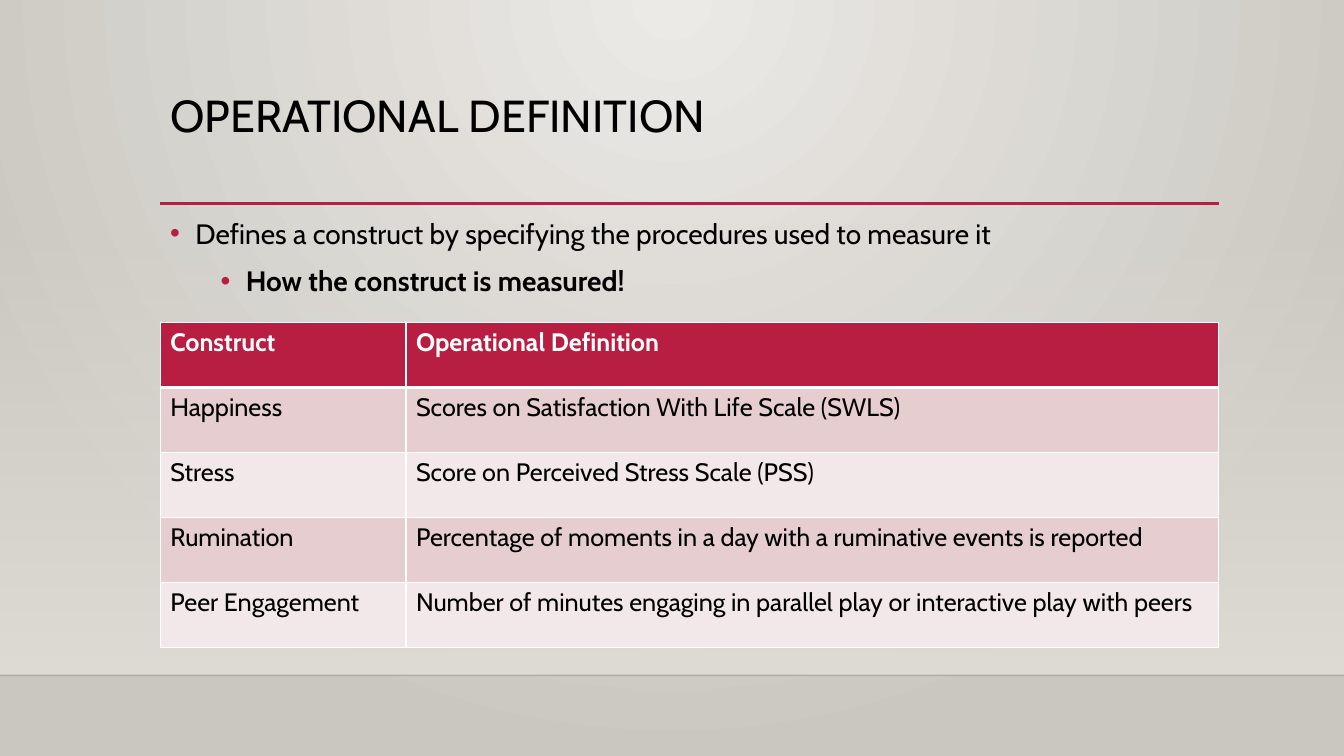
import pptx
import pptx.dml.color
import pptx.enum.shapes
import pptx.enum.text
import pptx.oxml
import pptx.oxml.ns
import pptx.util

Pt = pptx.util.Pt
NAMESPACE = pptx.oxml.ns.nsdecls("a")
FONT = "Cabin"
BLACK, WHITE, RED = "000000", "FFFFFF", "B71E42"
BANDS = ["E6CDCF", "F3E8E9"]
LEFT, WIDTH = 114.5, 756
SLIDE_WIDTH, SLIDE_HEIGHT = 960, 540
FLOOR_TOP = 482.4
COLUMN_WIDTHS = [175.5, 580.5]
ROW_HEIGHT = 46.4
ROWS = [
    ["Construct", "Operational Definition"],
    ["Happiness", "Scores on Satisfaction With Life Scale (SWLS)"],
    ["Stress", "Score on Perceived Stress Scale (PSS)"],
    ["Rumination", "Percentage of moments in a day with a ruminative events is reported"],
    ["Peer Engagement", "Number of minutes engaging in parallel play or interactive play with peers"],
]
BULLETS = [
    ("Defines a construct by specifying the procedures used to measure it", 18, 10, False),
    ("How the construct is measured!", 54, 5, True),
]


def rgb(value):
    return pptx.dml.color.RGBColor.from_string(value)


def xml(text):
    return pptx.oxml.parse_xml(text)


def apply_format(target, values):
    for name, value in values.items():
        setattr(target, name, value)


def set_opacity(color_element, percent):
    color_element.append(xml(f'<a:alpha {NAMESPACE} val="{percent * 1000}"/>'))


def set_gradient(fill, colors):
    fill.gradient()
    for stop, color in zip(fill.gradient_stops, colors):
        stop.color.rgb = rgb(color)


def write_text(paragraph, text, size, color=BLACK, bold=False):
    run = paragraph.add_run()
    run.text = text
    apply_format(run.font, {"name": FONT, "size": Pt(size), "bold": bold})
    run.font.color.rgb = rgb(color)


def set_background(slide):
    set_gradient(slide.background.fill, ["ECEAE7", "CAC7C1"])
    gradient = slide.element.xpath(".//p:bg//a:gradFill")[0]
    direction = gradient.xpath("a:lin")[0]
    gradient.replace(direction, xml(
        f'<a:path {NAMESPACE} path="circle">'
        '<a:fillToRect l="43000" t="0" r="43000" b="100000"/></a:path>'))


def add_wall(slide, top, bottom):
    shape = slide.shapes.add_shape(
        pptx.enum.shapes.MSO_SHAPE.RECTANGLE, 0, Pt(top), Pt(SLIDE_WIDTH), Pt(bottom - top))
    shape.shadow.inherit = False
    shape.line.fill.background()
    set_gradient(shape.fill, ["DFDBD5", "DFDBD5"])
    shape.fill.gradient_angle = 270
    set_opacity(shape.element.xpath(".//a:gs/a:srgbClr")[0], 0)


def add_rule(slide, left, right, y, color, width, opacity=100):
    line = slide.shapes.add_connector(
        pptx.enum.shapes.MSO_CONNECTOR.STRAIGHT, Pt(left), Pt(y), Pt(right), Pt(y))
    line.line.color.rgb = rgb(color)
    line.line.width = Pt(width)
    if opacity < 100:
        set_opacity(line.element.xpath(".//a:ln//a:srgbClr")[0], opacity)
    line.element.spPr.append(xml(f"<a:effectLst {NAMESPACE}/>"))


def add_text_frame(slide, top, height):
    frame = slide.shapes.add_textbox(Pt(LEFT), Pt(top), Pt(WIDTH), Pt(height)).text_frame
    apply_format(frame, {
        "word_wrap": True, "vertical_anchor": pptx.enum.text.MSO_ANCHOR.TOP})
    return frame


def add_title(slide, text):
    paragraph = add_text_frame(slide, 63.4, 82.8).paragraphs[0]
    paragraph.line_spacing = 0.9
    write_text(paragraph, text, 32)


def add_bullets(slide, bullets):
    frame = add_text_frame(slide, 146.2, 72)
    for index, (text, indent, space, bold) in enumerate(bullets):
        paragraph = frame.add_paragraph() if index else frame.paragraphs[0]
        apply_format(paragraph, {
            "level": index, "line_spacing": 1.2, "space_before": Pt(space)})
        properties = paragraph._p.get_or_add_pPr()
        properties.set("marL", str(Pt(indent)))
        properties.set("indent", str(Pt(-18)))
        for marker in [
            f'<a:buClr {NAMESPACE}><a:srgbClr val="{RED}"/></a:buClr>',
            f'<a:buFont {NAMESPACE} typeface="Arial"/>',
            f'<a:buChar {NAMESPACE} char="•"/>',
        ]:
            properties.append(xml(marker))
        write_text(paragraph, text, 20, bold=bold)


def set_borders(cell, widths):
    properties = cell._tc.get_or_add_tcPr()
    for side, width in widths.items():
        properties.append(xml(
            f'<a:ln{side} {NAMESPACE} w="{Pt(width)}"><a:solidFill>'
            f'<a:srgbClr val="{WHITE}"/></a:solidFill></a:ln{side}>'))


def add_definition_table(slide, rows):
    table = slide.shapes.add_table(
        len(rows), len(COLUMN_WIDTHS), Pt(LEFT), Pt(230.4),
        Pt(WIDTH), Pt(ROW_HEIGHT * len(rows))).table
    for column, width in zip(table.columns, COLUMN_WIDTHS):
        column.width = Pt(width)
    for row_index, texts in enumerate(rows):
        table.rows[row_index].height = Pt(ROW_HEIGHT)
        header = row_index == 0
        for column_index, text in enumerate(texts):
            cell = table.cell(row_index, column_index)
            set_borders(cell, {
                "L": 1, "R": 1, "T": 3 if row_index == 1 else 1, "B": 3 if header else 1})
            cell.fill.solid()
            cell.fill.fore_color.rgb = rgb(RED if header else BANDS[(row_index - 1) % 2])
            write_text(cell.text_frame.paragraphs[0], text, 18,
                       WHITE if header else BLACK, header)


def main():
    presentation = pptx.Presentation()
    apply_format(presentation, {
        "slide_width": Pt(SLIDE_WIDTH), "slide_height": Pt(SLIDE_HEIGHT)})
    slide = presentation.slides.add_slide(presentation.slide_layouts[6])
    set_background(slide)
    add_wall(slide, 159, FLOOR_TOP)
    add_rule(slide, 0, SLIDE_WIDTH, FLOOR_TOP, "000001", 1, 20)
    add_rule(slide, LEFT, LEFT + WIDTH, 145.4, RED, 2.5)
    add_title(slide, "OPERATIONAL DEFINITION")
    add_bullets(slide, BULLETS)
    add_definition_table(slide, ROWS)
    presentation.save("out.pptx")


if __name__ == "__main__":
    main()
